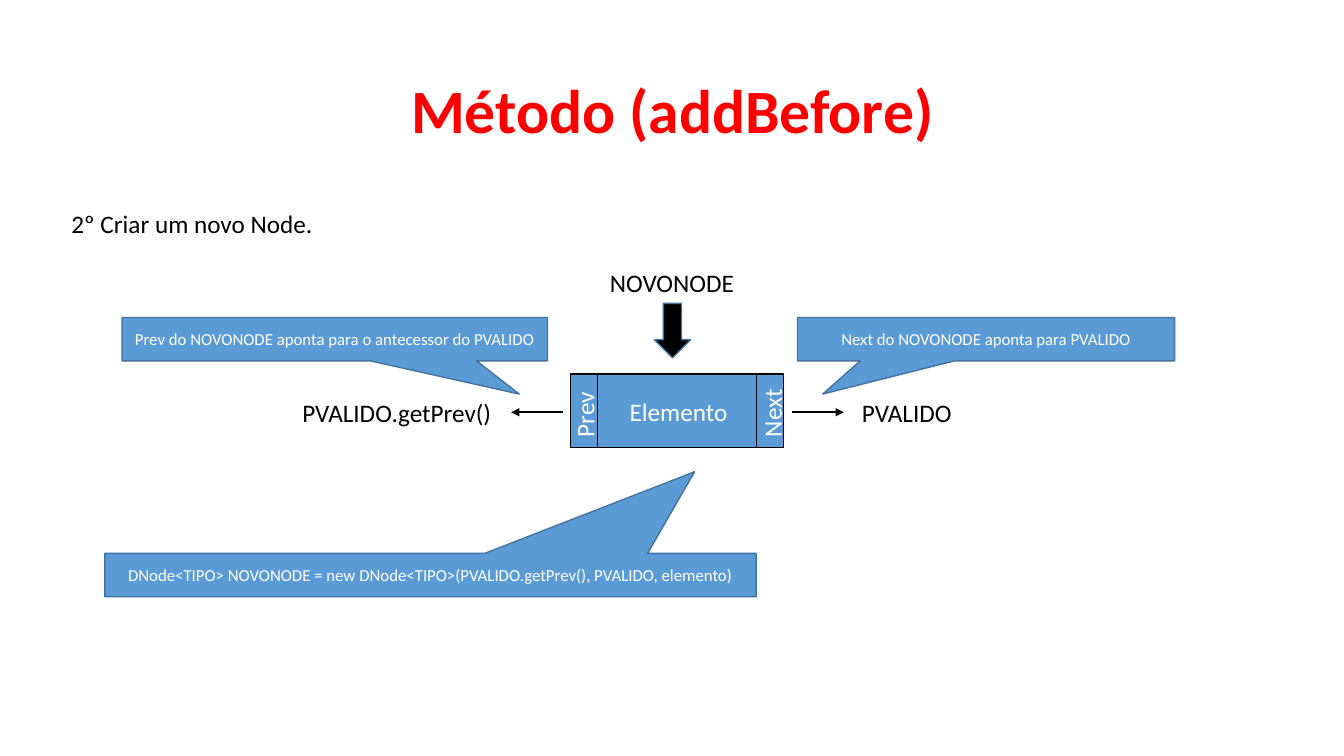
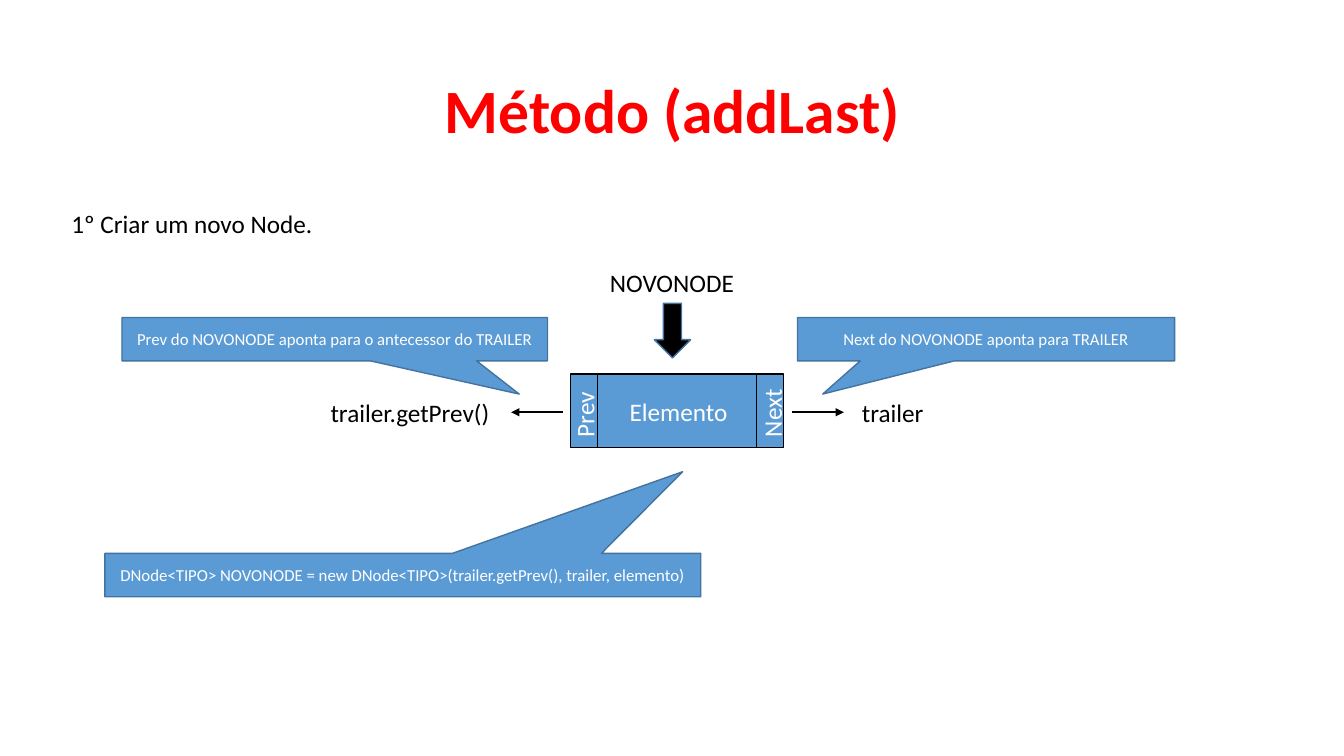
from dataclasses import dataclass

from lxml.etree import SubElement
from pptx import Presentation
from pptx.dml.color import RGBColor
from pptx.enum.shapes import MSO_CONNECTOR, MSO_SHAPE
from pptx.enum.text import MSO_ANCHOR, MSO_AUTO_SIZE, PP_ALIGN
from pptx.oxml.ns import qn
from pptx.shapes.autoshape import Shape
from pptx.shapes.shapetree import GroupShapes, SlideShapes
from pptx.slide import SlideLayout
from pptx.text.text import TextFrame
from pptx.util import Pt

# Shared style; lengths are px, 100 to the inch
EMU_PER_PX = 9144
FONT = "Calibri"
RED = RGBColor(0xFF, 0x00, 0x00)
BLACK = RGBColor(0x00, 0x00, 0x00)
WHITE = RGBColor(0xFF, 0xFF, 0xFF)
BLUE = RGBColor(0x5B, 0x9B, 0xD5)
DARK_BLUE = RGBColor(0x43, 0x73, 0x9E)

LABEL_HEIGHT = 40
CALLOUT_HEIGHT = 43
LINK_Y = 409

Canvas = SlideShapes | GroupShapes


@dataclass(frozen=True)
class Box:
    left: int
    top: int
    width: int
    height: int = LABEL_HEIGHT

    def emu(self) -> tuple[int, int, int, int]:
        return px(self.left), px(self.top), px(self.width), px(self.height)


@dataclass(frozen=True)
class Label:
    text: str
    box: Box
    color: RGBColor = BLACK
    align: PP_ALIGN = PP_ALIGN.LEFT
    rotation: int = 0


@dataclass(frozen=True)
class Callout:
    text: str
    box: Box
    tip_x: int
    tip_y: int


@dataclass(frozen=True)
class Method:
    name: str
    step: str
    target: str
    target_title: str
    previous_width: int
    target_width: int
    code_width: int
    code_tip_x: int


METHODS = (
    Method("addBefore", "2º", "PVALIDO", "PVALIDO", 210, 111, 646, 689),
    Method("addLast", "1º", "trailer", "TRAILER", 182, 86, 591, 677),
)

NODE_LABELS = (
    Label("Next", Box(731, 389, 69), WHITE, rotation=270),
    Label("Prev", Box(545, 389, 69), WHITE, rotation=270),
    Label("Elemento", Box(596, 388, 154), WHITE, PP_ALIGN.CENTER),
)


def px(length: int) -> int:
    return length * EMU_PER_PX


def write(frame: TextFrame, text: str, *, size: int = 18, color: RGBColor = BLACK,
          bold: bool = False, align: PP_ALIGN = PP_ALIGN.LEFT,
          anchor: MSO_ANCHOR = MSO_ANCHOR.TOP, spacing: float = 1.0) -> None:
    frame.word_wrap = True
    frame.vertical_anchor = anchor
    para = frame.paragraphs[0]
    para.alignment = align
    para.line_spacing = spacing
    span = para.add_run()
    span.text = text
    span.font.name = FONT
    span.font.size = Pt(size)
    span.font.bold = bold
    span.font.color.rgb = color


def add_label(canvas: Canvas, label: Label) -> None:
    text_box = canvas.add_textbox(*label.box.emu())
    text_box.rotation = label.rotation
    write(text_box.text_frame, label.text, color=label.color, align=label.align)
    text_box.text_frame.auto_size = MSO_AUTO_SIZE.SHAPE_TO_FIT_TEXT


def add_figure(canvas: Canvas, kind: MSO_SHAPE, box: Box, *,
               fill: RGBColor = BLUE, line: RGBColor = DARK_BLUE) -> Shape:
    figure = canvas.add_shape(kind, *box.emu())
    figure.shadow.inherit = False
    figure.fill.solid()
    figure.fill.fore_color.rgb = fill
    figure.line.color.rgb = line
    figure.line.width = Pt(1)
    return figure


def add_callout(canvas: Canvas, callout: Callout) -> None:
    box = callout.box
    figure = add_figure(canvas, MSO_SHAPE.RECTANGULAR_CALLOUT, box)
    # The tip is measured from the centre, as a share of the size
    figure.adjustments[0] = (callout.tip_x - box.left) / box.width - 0.5
    figure.adjustments[1] = (callout.tip_y - box.top) / box.height - 0.5
    write(figure.text_frame, callout.text, size=12, color=WHITE,
          align=PP_ALIGN.CENTER, anchor=MSO_ANCHOR.MIDDLE)


def add_link(canvas: Canvas, start_x: int, end_x: int) -> None:
    link = canvas.add_connector(MSO_CONNECTOR.STRAIGHT, px(start_x), px(LINK_Y),
                                px(end_x), px(LINK_Y))
    link.line.color.rgb = BLACK
    link.line.width = Pt(1.5)
    SubElement(link.line._get_or_add_ln(), qn("a:tailEnd"), type="triangle")
    SubElement(link._element.spPr, qn("a:effectLst"))


def add_node_diagram(canvas: Canvas, method: Method) -> None:
    # New node with its pointer
    add_label(canvas, Label("NOVONODE", Box(590, 260, 153), align=PP_ALIGN.CENTER))
    add_figure(canvas, MSO_SHAPE.DOWN_ARROW, Box(649, 301, 36, 54), fill=BLACK)
    add_figure(canvas, MSO_SHAPE.FLOWCHART_PREDEFINED_PROCESS,
               Box(566, 371, 211, 73), line=BLACK)
    for label in NODE_LABELS:
        add_label(canvas, label)

    # Links to both neighbours
    add_link(canvas, 786, 837)
    add_label(canvas, Label(method.target, Box(845, 389, method.target_width)))
    add_link(canvas, 558, 507)
    add_label(canvas, Label(f"{method.target}.getPrev()",
                            Box(500 - method.previous_width, 389, method.previous_width)))

    # Explanations of the links
    add_callout(canvas, Callout(f"Next do NOVONODE aponta para {method.target_title}",
                                Box(791, 315, 374, CALLOUT_HEIGHT), 816, 391))
    add_callout(canvas, Callout(
        f"Prev do NOVONODE aponta para o antecessor do {method.target_title}",
        Box(121, 315, 422, CALLOUT_HEIGHT), 515, 391))


def add_method_page(deck: Presentation, layout: SlideLayout, method: Method) -> None:
    page = deck.slides.add_slide(layout)
    write(page.shapes.title.text_frame, f"Método ({method.name})", size=44, color=RED,
          bold=True, align=PP_ALIGN.CENTER, anchor=MSO_ANCHOR.MIDDLE, spacing=0.9)
    add_label(page.shapes, Label(f"{method.step} Criar um novo Node.", Box(61, 202, 339)))
    add_node_diagram(page.shapes.add_group_shape().shapes, method)
    code = ("DNode<TIPO> NOVONODE = new DNode<TIPO>"
            f"({method.target}.getPrev(), {method.target}, elemento)")
    add_callout(page.shapes, Callout(code, Box(104, 549, method.code_width, CALLOUT_HEIGHT),
                                     method.code_tip_x, 468))


def main() -> None:
    deck = Presentation()
    deck.slide_width, deck.slide_height = px(1333), px(750)
    layout = deck.slide_layouts.get_by_name("Title Only")
    title = layout.placeholders[0]
    title.left, title.top, title.width, title.height = Box(92, 40, 1150, 145).emu()
    for method in METHODS:
        add_method_page(deck, layout, method)
    deck.save("out.pptx")


if __name__ == "__main__":
    main()
